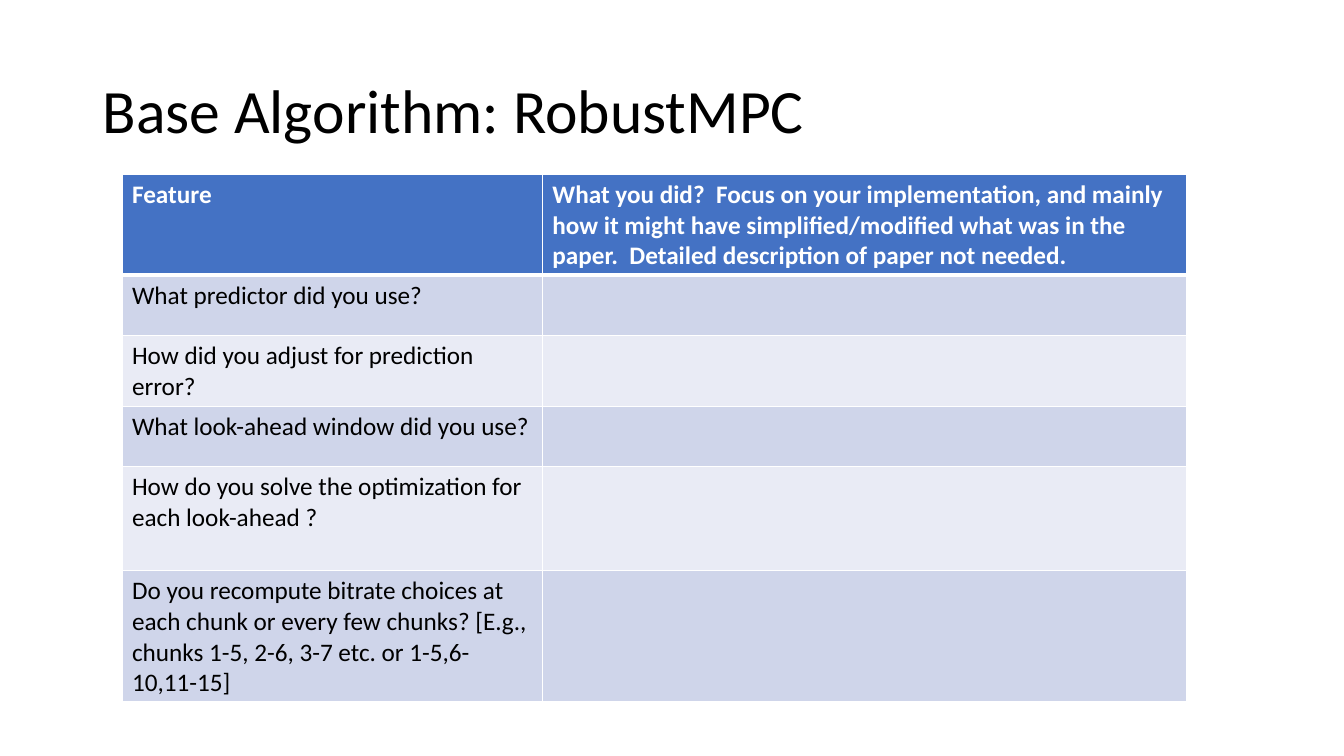
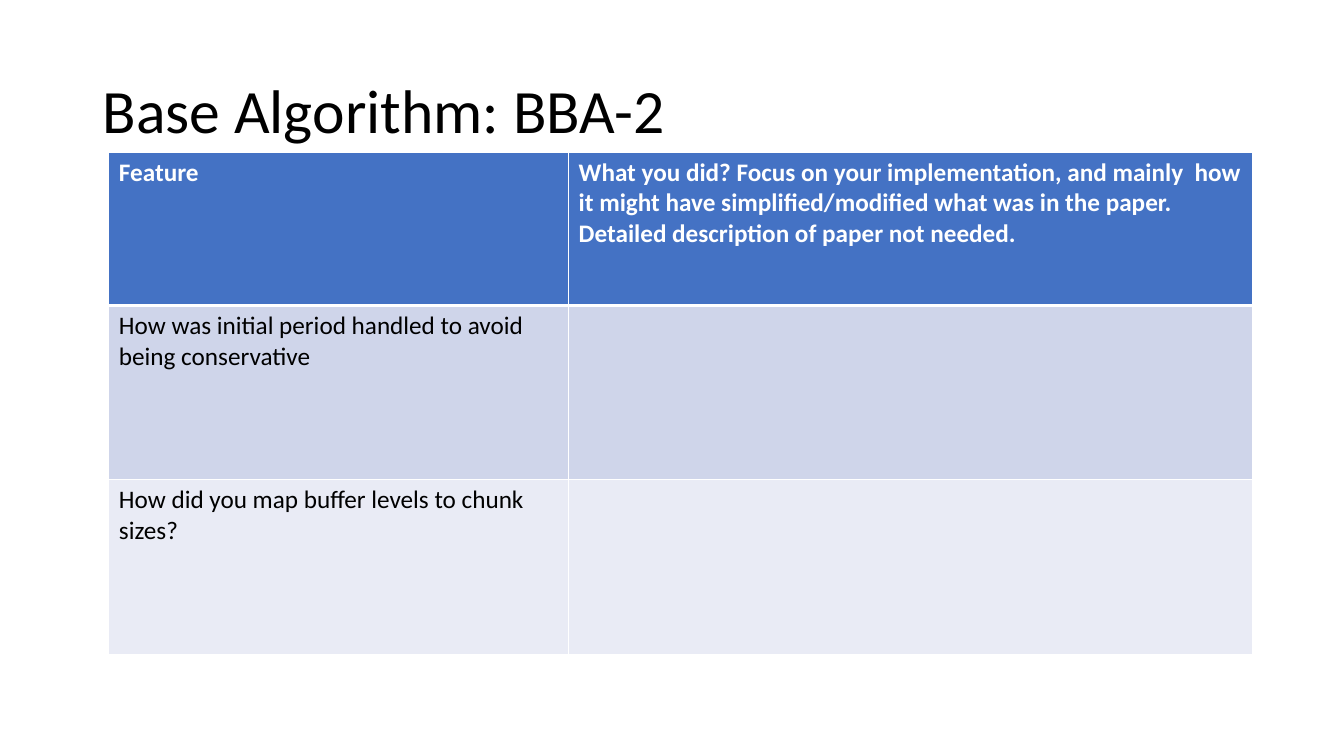
"""Build two slides that ask how each base algorithm was implemented."""
from dataclasses import dataclass

from lxml.etree import SubElement
from pptx import Presentation
from pptx.dml.color import RGBColor
from pptx.enum.text import MSO_ANCHOR
from pptx.oxml.ns import qn
from pptx.presentation import Presentation as Deck
from pptx.slide import Slide
from pptx.table import _Cell
from pptx.text.text import TextFrame
from pptx.util import Inches, Pt


@dataclass(frozen=True)
class Theme:
    """Colours, font and type sizes shared by the slides."""
    font: str = "Calibri"
    title_size: int = 44
    body_size: int = 18
    ink: str = "000000"
    white: str = "FFFFFF"
    header: str = "4472C4"
    bands: tuple[str, str] = ("CFD5EA", "E9EBF5")
    rule: int = 1
    header_rule: int = 3


@dataclass(frozen=True)
class Topic:
    """One slide: its title, table position, sizes and wording."""
    title: str
    left: float
    top: float
    cols: tuple[float, float]
    rows: tuple[float, ...]
    prompt: str
    questions: tuple[str, ...]


THEME = Theme()

TOPICS = (
    Topic(
        "Base Algorithm: RobustMPC", 1.21, 1.73, (4.17, 6.39),
        (0.64, 0.6, 0.6, 0.6, 1.03, 0.6),
        "What you did?  Focus on your implementation, and mainly  how it might have "
        "simplified/modified what was in the paper.  Detailed description of paper not needed.",
        (
            "What predictor did you use?",
            "How did you adjust for prediction error?",
            "What look-ahead window did you use?",
            "How do you solve the optimization for each look-ahead ?",
            "Do you recompute bitrate choices at each chunk or every few chunks? "
            "[E.g., chunks 1-5, 2-6, 3-7 etc. or 1-5,6-10,11-15]",
        ),
    ),
    Topic(
        "Base Algorithm: BBA-2", 1.08, 1.51, (4.56, 6.78), (1.52, 1.73, 1.73),
        "What you did? Focus on your implementation, and mainly  how it might have "
        "simplified/modified what was in the paper.  Detailed description of paper not needed.",
        (
            "How was initial period handled to avoid being conservative",
            "How did you map buffer levels to chunk sizes?",
        ),
    ),
)


def write(tf: TextFrame, text: str, *, size: int = THEME.body_size, color: str = THEME.ink,
          bold: bool = False, spacing: float = 1.0) -> None:
    """Put one formatted run of text in a frame."""
    tf.word_wrap = True
    p = tf.paragraphs[0]
    p.line_spacing = spacing
    r = p.add_run()
    r.text = text
    r.font.name = THEME.font
    r.font.size = Pt(size)
    r.font.bold = bold
    r.font.color.rgb = RGBColor.from_string(color)


def add_title(s: Slide, text: str) -> None:
    """Add the slide title."""
    tf = s.shapes.add_textbox(Inches(0.92), Inches(0.4), Inches(11.5), Inches(1.45)).text_frame
    tf.vertical_anchor = MSO_ANCHOR.MIDDLE
    write(tf, text, size=THEME.title_size, spacing=0.9)


def style_cell(cell: _Cell, fill: str, top: int, bottom: int) -> None:
    """Give a cell its white borders and its fill."""
    tc_pr = cell._tc.get_or_add_tcPr()
    for tag, width in (("lnL", THEME.rule), ("lnR", THEME.rule), ("lnT", top), ("lnB", bottom)):
        ln = SubElement(tc_pr, qn(f"a:{tag}"), w=str(Pt(width)))
        SubElement(SubElement(ln, qn("a:solidFill")), qn("a:srgbClr"), val=THEME.white)
    cell.fill.solid()
    cell.fill.fore_color.rgb = RGBColor.from_string(fill)


def add_feature_table(s: Slide, topic: Topic) -> None:
    """Add the table of questions with an empty answer column."""
    table = s.shapes.add_table(
        len(topic.rows), len(topic.cols), Inches(topic.left), Inches(topic.top),
        Inches(sum(topic.cols)), Inches(sum(topic.rows))).table
    for col, width in zip(table.columns, topic.cols):
        col.width = Inches(width)
    for row, height in zip(table.rows, topic.rows):
        row.height = Inches(height)

    lines = [("Feature", topic.prompt), *((q, "") for q in topic.questions)]
    for i, line in enumerate(lines):
        is_header = i == 0
        fill = THEME.header if is_header else THEME.bands[(i - 1) % 2]
        top = THEME.header_rule if i == 1 else THEME.rule
        bottom = THEME.header_rule if is_header else THEME.rule
        for j, text in enumerate(line):
            cell = table.cell(i, j)
            style_cell(cell, fill, top, bottom)
            if text:
                write(cell.text_frame, text, bold=is_header,
                      color=THEME.white if is_header else THEME.ink)


def add_topic(prs: Deck, topic: Topic) -> None:
    """Add one topic slide."""
    s = prs.slides.add_slide(prs.slide_layouts[6])
    add_title(s, topic.title)
    add_feature_table(s, topic)


def main() -> None:
    """Build and save the presentation."""
    prs = Presentation()
    prs.slide_width, prs.slide_height = Inches(13.33), Inches(7.5)
    for topic in TOPICS:
        add_topic(prs, topic)
    prs.save("out.pptx")


if __name__ == "__main__":
    main()
